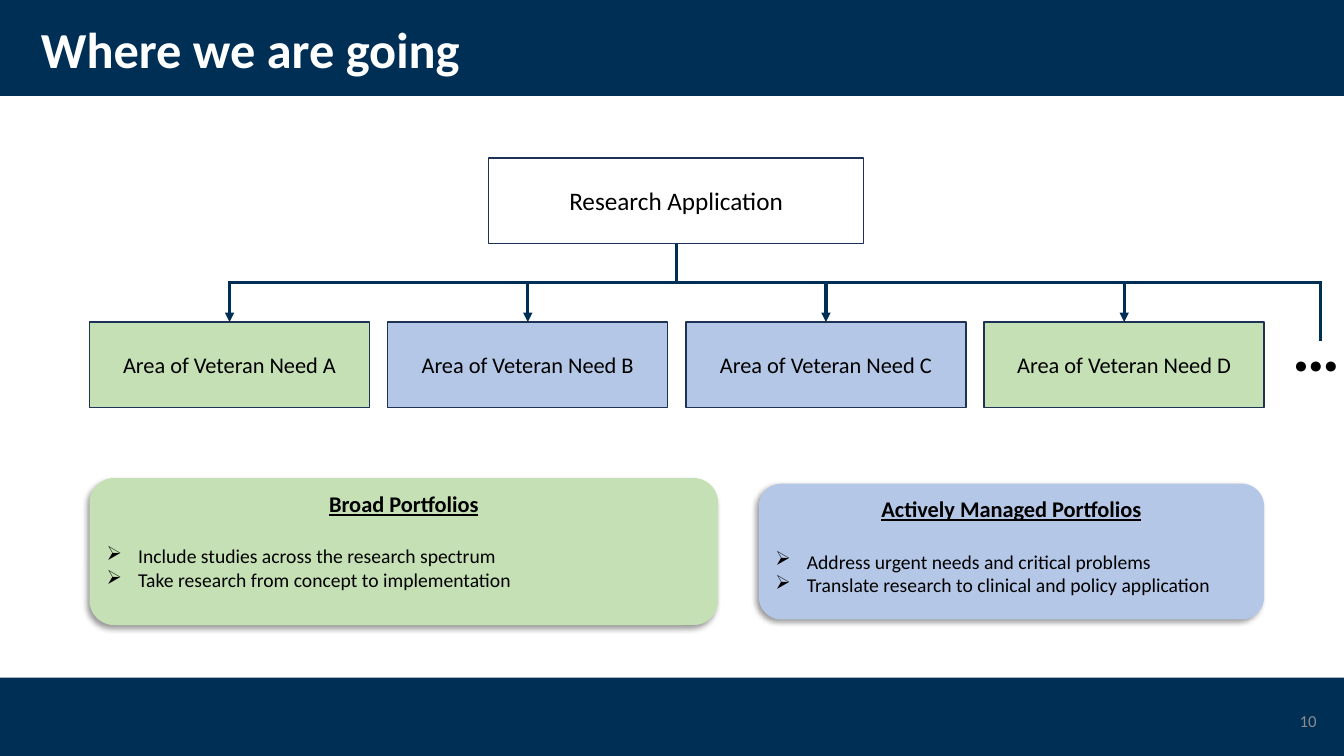
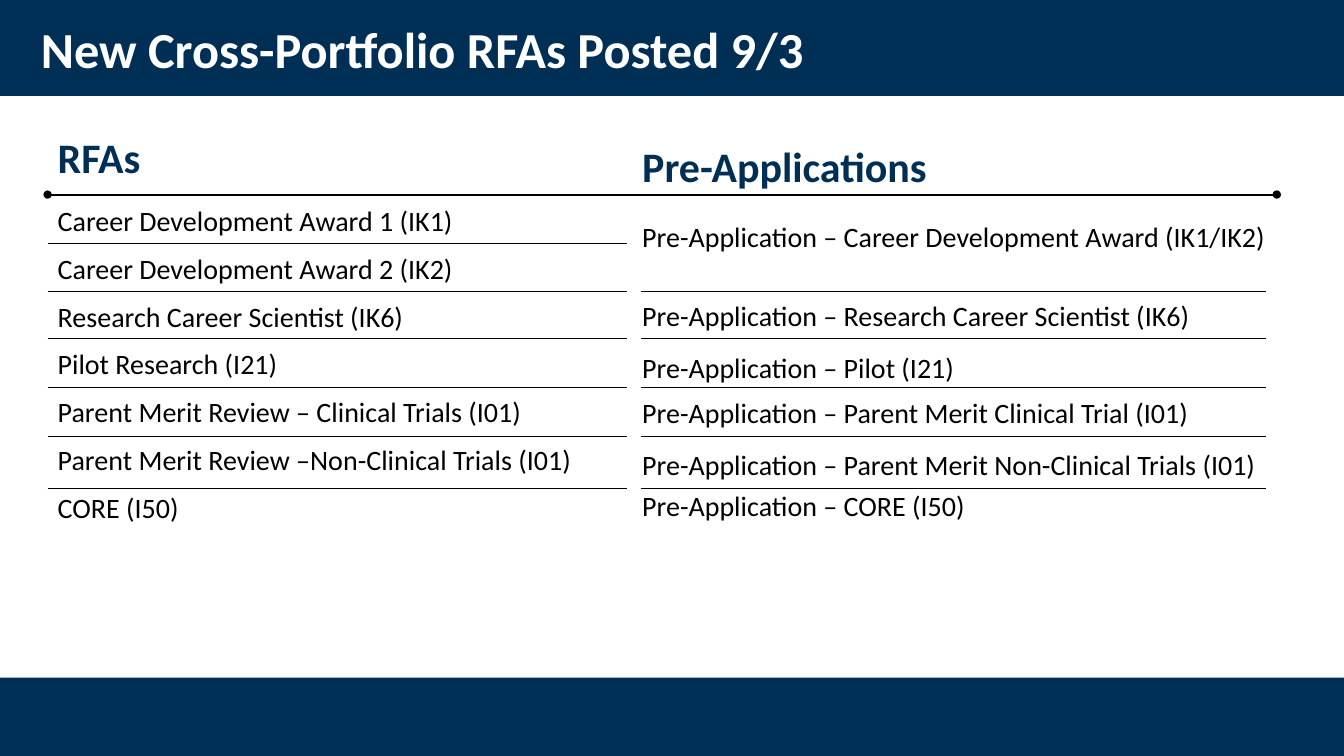
"""Build two slides on research portfolios and their requests for applications."""
from lxml import etree
from pptx import Presentation
from pptx.dml.color import RGBColor
from pptx.enum import shapes, text
from pptx.oxml.ns import qn
from pptx.util import Pt

FONT = "Calibri"
NAVY, EDGE, BLACK, WHITE, GREY = "002F56", "1E3256", "000000", "FFFFFF", "8C8C8C"
GREEN, BLUE = "C5E0B4", "B4C7E7"
SLIDE_W, SLIDE_H = 960, 540
TITLE_ONLY, COMPARISON = 5, 4
LIST_SIZE, LIST_LINE = 20, 22

AREAS = [("A", GREEN), ("B", BLUE), ("C", BLUE), ("D", GREEN)]
CARDS = [
    ((64, 341.5, 449, 105), GREEN, "Broad Portfolios",
     ["Include studies across the research spectrum",
      "Take research from concept to implementation"]),
    ((542, 345.5, 361, 97), BLUE, "Actively Managed Portfolios",
     ["Address urgent needs and critical problems",
      "Translate research to clinical and policy application"]),
]
RFAS = ["Career Development Award 1 (IK1)", "Career Development Award 2 (IK2)",
        "Research Career Scientist (IK6)", "Pilot Research (I21)",
        "Parent Merit Review – Clinical Trials (I01)",
        "Parent Merit Review –Non-Clinical Trials (I01)", "CORE (I50)"]
PRE_APPLICATIONS = [
    ("Career Development Award (IK1/IK2)", 156),
    ("Research Career Scientist (IK6)", 213),
    ("Pilot (I21)", 250.5),
    ("Parent Merit Clinical Trial (I01)", 283),
    ("Parent Merit Non-Clinical Trials (I01)", 320.5),
    ("CORE (I50)", 350),
]
RULES = [173.5, 208, 242, 276.5, 312, 349]


def rgb(value):
    """Return the colour for a hex string."""
    return RGBColor.from_string(value)


def place(sp, left, top, width, height):
    """Move and size a shape."""
    sp.left, sp.top, sp.width, sp.height = map(Pt, (left, top, width, height))


def add_run(p, words, size, color=BLACK, bold=False, underline=False):
    """Add a formatted run to a paragraph."""
    r = p.add_run()
    r.text = words
    r.font.name, r.font.size = FONT, Pt(size)
    r.font.bold, r.font.underline = bold, underline
    r.font.color.rgb = rgb(color)


def set_bullet(p, char=None, indent=0):
    """Give a paragraph a hanging bullet, or none."""
    pPr = p._p.get_or_add_pPr()
    pPr.set("marL", str(Pt(indent)))
    pPr.set("indent", str(-Pt(indent)))
    bu = etree.SubElement(pPr, qn("a:buChar" if char else "a:buNone"))
    if char:
        bu.set("char", char)


def add_box(s, box, fill, line=None, kind=shapes.MSO_SHAPE.RECTANGLE):
    """Add a flat filled shape."""
    sp = s.shapes.add_shape(kind, *map(Pt, box))
    sp.shadow.inherit = False
    sp.fill.solid()
    sp.fill.fore_color.rgb = rgb(fill)
    if line:
        sp.line.color.rgb = rgb(line)
        sp.line.width = Pt(1)
    else:
        sp.line.fill.background()
    return sp


def add_label_box(s, box, fill, words, size):
    """Add an outlined rectangle with a centred label."""
    tf = add_box(s, box, fill, EDGE).text_frame
    tf.word_wrap = True
    tf.vertical_anchor = text.MSO_ANCHOR.MIDDLE
    p = tf.paragraphs[0]
    p.alignment = text.PP_ALIGN.CENTER
    add_run(p, words, size)


def add_text(s, box, words, size, color, align=text.PP_ALIGN.LEFT,
             anchor=text.MSO_ANCHOR.TOP, bold=False):
    """Add a one-line text box."""
    tf = s.shapes.add_textbox(*map(Pt, box)).text_frame
    tf.word_wrap = True
    tf.vertical_anchor = anchor
    p = tf.paragraphs[0]
    p.alignment = align
    add_run(p, words, size, color, bold)


def add_line(s, start, end, color, width, head=None, tail=None):
    """Add a straight connector with optional line ends."""
    c = s.shapes.add_connector(shapes.MSO_CONNECTOR.STRAIGHT, *map(Pt, start + end))
    c.line.color.rgb = rgb(color)
    c.line.width = Pt(width)
    spPr = c.element.spPr
    for tag, kind in (("a:headEnd", head), ("a:tailEnd", tail)):
        if kind:
            etree.SubElement(spPr.find(qn("a:ln")), qn(tag), type=kind)
    etree.SubElement(spPr, qn("a:effectLst"))


def add_soft_shadow(sp):
    """Give a shape a soft shadow to the lower left."""
    effects = sp.element.spPr.find(qn("a:effectLst"))
    shadow = etree.SubElement(effects, qn("a:outerShdw"), blurRad=str(Pt(4)),
                              dist=str(Pt(3)), dir="8100000", algn="tr", rotWithShape="0")
    color = etree.SubElement(shadow, qn("a:srgbClr"), val=BLACK)
    etree.SubElement(color, qn("a:alpha"), val="40000")


def add_card(s, box, fill, heading, items):
    """Add a rounded card with a heading and a bulleted list."""
    sp = add_box(s, box, fill, kind=shapes.MSO_SHAPE.ROUNDED_RECTANGLE)
    add_soft_shadow(sp)
    tf = sp.text_frame
    tf.word_wrap = True
    tf.vertical_anchor = text.MSO_ANCHOR.TOP
    p = tf.paragraphs[0]
    p.alignment = text.PP_ALIGN.CENTER
    add_run(p, heading, 16, bold=True, underline=True)
    for i, item in enumerate(items):
        p = tf.add_paragraph()
        set_bullet(p, "➢", 22.5)
        p.alignment = text.PP_ALIGN.LEFT
        p.space_before = Pt(0 if i else 19.5)
        add_run(p, item, 14)


def fill_placeholder(sp, box, rows, size, color, bold=False, spacing=0.9,
                     anchor=text.MSO_ANCHOR.TOP):
    """Place a placeholder and fill it with (words, space before) rows."""
    place(sp, *box)
    tf = sp.text_frame
    tf.auto_size = text.MSO_AUTO_SIZE.NONE
    tf.word_wrap = True
    tf.vertical_anchor = anchor
    for i, (words, gap) in enumerate(rows):
        p = tf.add_paragraph() if i else tf.paragraphs[0]
        set_bullet(p)
        p.alignment = text.PP_ALIGN.LEFT
        p.line_spacing = spacing
        p.space_before = Pt(gap)
        add_run(p, words, size, color, bold)


def add_slide(prs, layout, title):
    """Add a slide with the shared title style."""
    s = prs.slides.add_slide(prs.slide_layouts[layout])
    fill_placeholder(s.shapes.title, (22, 13, 880, 49), [(title, 0)], 36, WHITE,
                     bold=True, anchor=text.MSO_ANCHOR.MIDDLE)
    return s


def add_master_bands(prs, s):
    """Put the header and footer bands on the slide master."""
    tree = prs.slide_master.shapes.element
    for top, height in ((0, 68.5), (484, SLIDE_H - 484)):
        band = add_box(s, (0, top, SLIDE_W, height), NAVY)
        tree.insert(2, band.element)


def build_structure(s):
    """Draw the portfolio tree and the two portfolio cards."""
    left, pitch, width, height = 64, 213, 200, 61
    root_x, root_top, bus_y, area_top, more_x = 483, 113, 202, 230, 943.5
    add_text(s, (731.5, 500.5, 216, 29), "10", 12, GREY,
             text.PP_ALIGN.RIGHT, text.MSO_ANCHOR.MIDDLE)
    add_label_box(s, (349, root_top, 268, height), WHITE, "Research Application", 18)
    add_line(s, (root_x, root_top + height), (root_x, bus_y), NAVY, 2.25)
    add_line(s, (left + width / 2 - 1, bus_y), (more_x + 1, bus_y), NAVY, 2.25)
    for i, (letter, fill) in enumerate(AREAS):
        x = left + i * pitch
        add_label_box(s, (x, area_top, width, height), fill,
                      f"Area of Veteran Need {letter}", 16)
        center = x + width / 2
        add_line(s, (center, bus_y), (center, area_top), NAVY, 2.25, tail="triangle")
    add_line(s, (more_x, bus_y), (more_x, 243.5), NAVY, 2.25)
    add_text(s, (916, 214, 58, 66), "…", 48, BLACK, bold=True)
    for card in CARDS:
        add_card(s, *card)


def build_rfas(s):
    """Fill the two columns of awards and pre-applications."""
    tops = [top for _, top in PRE_APPLICATIONS]
    gaps = [0] + [b - a - LIST_LINE for a, b in zip(tops, tops[1:])]
    awards = [(words, 12.5 if i else 0) for i, words in enumerate(RFAS)]
    forms = [(f"Pre-Application – {words}", gap)
             for (words, _), gap in zip(PRE_APPLICATIONS, gaps)]
    columns = [("RFAs", 34, 90, 414, 144.5, awards, (34, 448), RULES),
               ("Pre-Applications", 451.5, 97, 469, tops[0], forms, (458, 904), RULES[1:])]
    for i, (heading, x, head_top, width, top, rows, (x1, x2), rules) in enumerate(columns):
        fill_placeholder(s.placeholders[2 * i + 1], (x, head_top, width, 44),
                         [(heading, 0)], 30, NAVY, bold=True, spacing=1.0)
        fill_placeholder(s.placeholders[2 * i + 2], (x, top, width, 380 - top),
                         rows, LIST_SIZE, BLACK)
        for y in rules:
            add_line(s, (x1, y), (x2, y), BLACK, 0.5)
    add_line(s, (34, 139), (912, 139), BLACK, 1.5, head="oval", tail="oval")


def main():
    """Build and save the presentation."""
    prs = Presentation()
    prs.slide_width, prs.slide_height = Pt(SLIDE_W), Pt(SLIDE_H)
    s = add_slide(prs, TITLE_ONLY, "Where we are going")
    add_master_bands(prs, s)
    build_structure(s)
    build_rfas(add_slide(prs, COMPARISON, "New Cross-Portfolio RFAs Posted 9/3"))
    prs.save("out.pptx")


if __name__ == "__main__":
    main()
